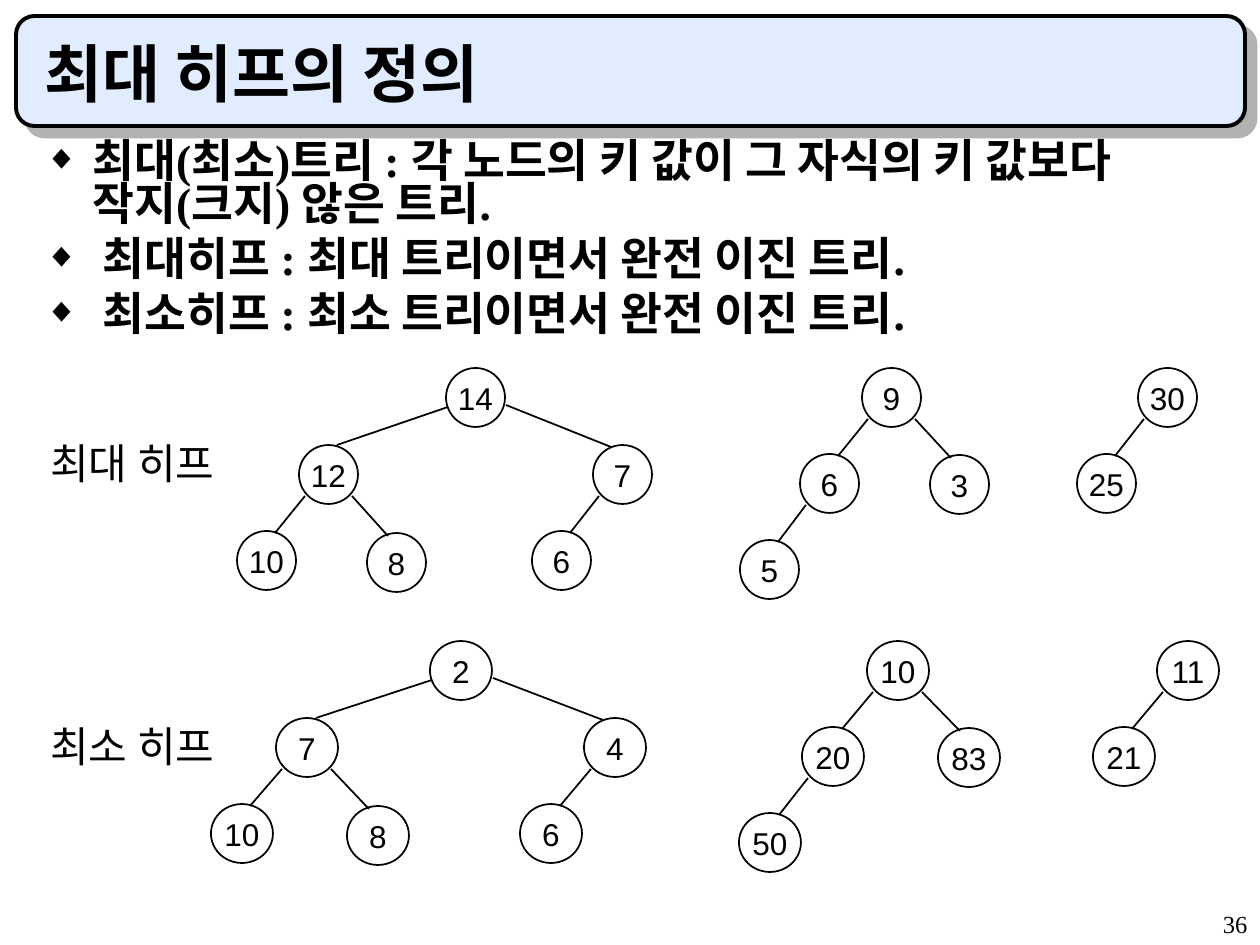
from lxml import etree
from pptx import Presentation
from pptx.dml.color import RGBColor
from pptx.enum.shapes import MSO_CONNECTOR, MSO_SHAPE
from pptx.enum.text import MSO_ANCHOR, MSO_AUTO_SIZE, PP_ALIGN
from pptx.oxml.ns import qn
from pptx.util import Inches, Pt

ROUND, OVAL = MSO_SHAPE.ROUNDED_RECTANGLE, MSO_SHAPE.OVAL
LINE = MSO_CONNECTOR.STRAIGHT
LEFT, MID, RIGHT = PP_ALIGN.LEFT, PP_ALIGN.CENTER, PP_ALIGN.RIGHT
TOP, CENTER, BOTTOM = MSO_ANCHOR.TOP, MSO_ANCHOR.MIDDLE, MSO_ANCHOR.BOTTOM
NONE = MSO_AUTO_SIZE.NONE

SERIF, SANS, HANGUL = "Times New Roman", "Arial", "Noto Sans CJK KR"
BLACK = "000000"
NODE = 59
BASE = 446

SPOTS = [(446, 368), (299, 445), (593, 445), (237, 531), (367, 533), (532, 531),
         (862, 368), (800, 454), (930, 455), (740, 540),
         (1138, 368), (1077, 454)]
EDGES = [(0, 1, "far left"), (0, 2, "far right"), (1, 3, "left"),
         (1, 4, "right"), (2, 5, "left"), (6, 7, "left"), (6, 8, "right"),
         (7, 9, "left"), (10, 11, "left")]
ENDS = {"left": (6, 51, 38, 2), "right": (53, 51, 21, 3),
        "far left": (2, 39, 38, 0), "far right": (60, 37, 18, 2)}

HEAPS = [("최대 히프", 431, [14, 12, 7, 10, 8, 6, 9, 6, 3, 5, 30, 25], BASE, 1, 0),
         ("최소 히프", 714, [2, 7, 4, 10, 8, 6, 10, 20, 83, 50, 11, 21], 430, 1.05, 273)]
POINTS = ["최대(최소)트리 : 각 노드의 키 값이 그 자식의 키 값보다 작지(크지) 않은 트리.",
          " 최대히프 : 최대 트리이면서 완전 이진 트리.",
          " 최소히프 : 최소 트리이면서 완전 이진 트리."]


def px(*nums):
    return [Inches(n / 126) for n in nums]


def color(code):
    return RGBColor.from_string(code)


def style(para, size, font, bold=False, align=LEFT):
    para.alignment = align
    for run in para.runs:
        run.font.size = Pt(size)
        run.font.name = font
        run.font.bold = bold
        run.font.color.rgb = color(BLACK)
        etree.SubElement(run._r.get_or_add_rPr(), qn("a:ea"), typeface=HANGUL)


def frame(shape, anchor=TOP, wrap=True):
    body = shape.text_frame
    body.auto_size = NONE
    body.word_wrap = wrap
    body.vertical_anchor = anchor
    return body


def add_text(slide, text, box, size, align=LEFT):
    body = frame(slide.shapes.add_textbox(*px(*box)), wrap=False)
    body.text = text
    style(body.paragraphs[0], size, SERIF, align=align)


def add_banner(slide):
    shape = slide.shapes.add_shape(ROUND, *px(16, 16, 1229, 110))
    shape.fill.solid()
    shape.fill.fore_color.rgb = color("E1ECFF")
    shape.line.color.rgb = color(BLACK)
    shape.line.width = Pt(2.25)
    shape.shadow.inherit = False
    effect = shape._element.spPr.find(qn("a:effectLst"))
    shade = etree.SubElement(effect, qn("a:outerShdw"), dist=str(Pt(8.5)),
                             dir="2700000", algn="tl", rotWithShape="0")
    etree.SubElement(shade, qn("a:srgbClr"), val="B2B2B2")


def set_title(slide, text):
    title = slide.shapes.title
    title.left, title.top, title.width, title.height = px(32, 32, 1186, 84)
    body = frame(title, BOTTOM)
    body.text = text
    style(body.paragraphs[0], 36, HANGUL, True)
    title._element.getparent().append(title._element)


def add_bullet(para):
    props = para._p.get_or_add_pPr()
    props.set("marL", str(Inches(0.38)))
    props.set("indent", str(-Inches(0.38)))
    tint = etree.SubElement(props, qn("a:buClr"))
    etree.SubElement(tint, qn("a:srgbClr"), val=BLACK)
    etree.SubElement(props, qn("a:buSzPct"), val="75000")
    etree.SubElement(props, qn("a:buFont"), typeface=SERIF)
    etree.SubElement(props, qn("a:buChar"), char="◆")


def add_points(slide):
    body = frame(slide.shapes.add_textbox(*px(32, 136, 1186, 221)))
    for i, text in enumerate(POINTS):
        para = body.add_paragraph() if i else body.paragraphs[0]
        para.text = text
        add_bullet(para)
        para.line_spacing = 0.8
        para.space_before = Pt(6.5 if i else 0)
        style(para, 26, SERIF, True)


def add_node(group, value, x, y, wide):
    shape = group.shapes.add_shape(OVAL, *px(x, y, wide, NODE))
    shape.fill.background()
    shape.line.color.rgb = color(BLACK)
    shape.line.width = Pt(1)
    shape.shadow.inherit = False
    body = frame(shape, CENTER, False)
    body.text = str(value)
    style(body.paragraphs[0], 18, SANS, align=MID)


def add_edge(group, ends):
    line = group.shapes.add_connector(LINE, *px(*ends))
    line.line.color.rgb = color(BLACK)
    line.line.width = Pt(1)
    etree.SubElement(line._element.spPr, qn("a:effectLst"))


def add_heap(slide, values, start, scale, drop):
    group = slide.shapes.add_group_shape()

    def place(x, y):
        return round(start + (x - BASE) * scale), y + drop

    for value, spot in zip(values, SPOTS):
        add_node(group, value, *place(*spot), round(NODE * scale))
    for top, low, kind in EDGES:
        dx, dy, ex, ey = ENDS[kind]
        (x, y), (u, v) = SPOTS[top], SPOTS[low]
        add_edge(group, place(x + dx, y + dy) + place(u + ex, v + ey))


def main():
    deck = Presentation()
    deck.slide_width, deck.slide_height = px(1260, 945)
    slide = deck.slides.add_slide(deck.slide_layouts[5])
    add_banner(slide)
    add_text(slide, "36", (998, 903, 262, 42), 14, RIGHT)
    for label, y, values, start, scale, drop in HEAPS:
        add_heap(slide, values, start, scale, drop)
        add_text(slide, label, (38, y, 192, 63), 24)
    set_title(slide, "최대 히프의 정의")
    add_points(slide)
    deck.save("out.pptx")


if __name__ == "__main__":
    main()
